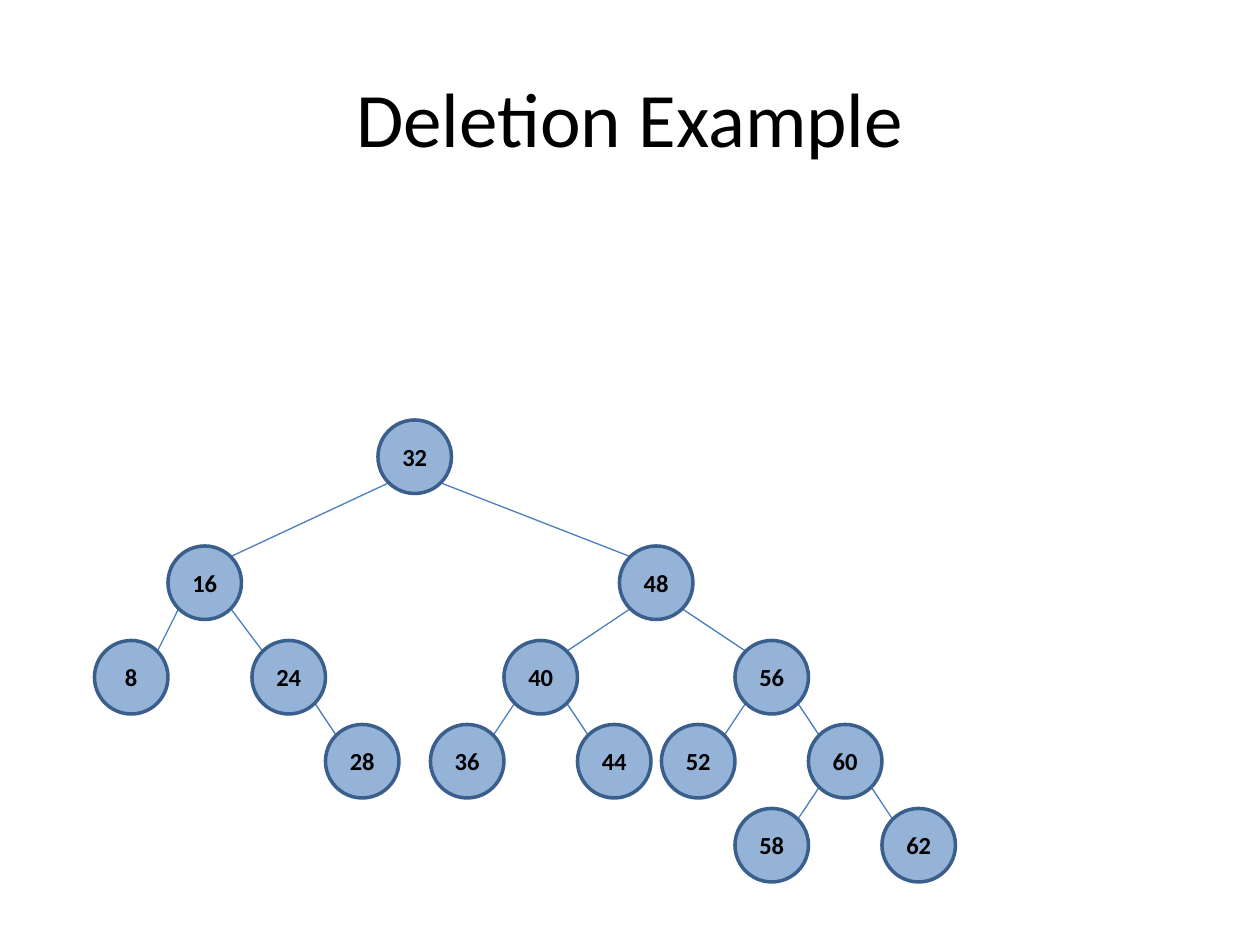
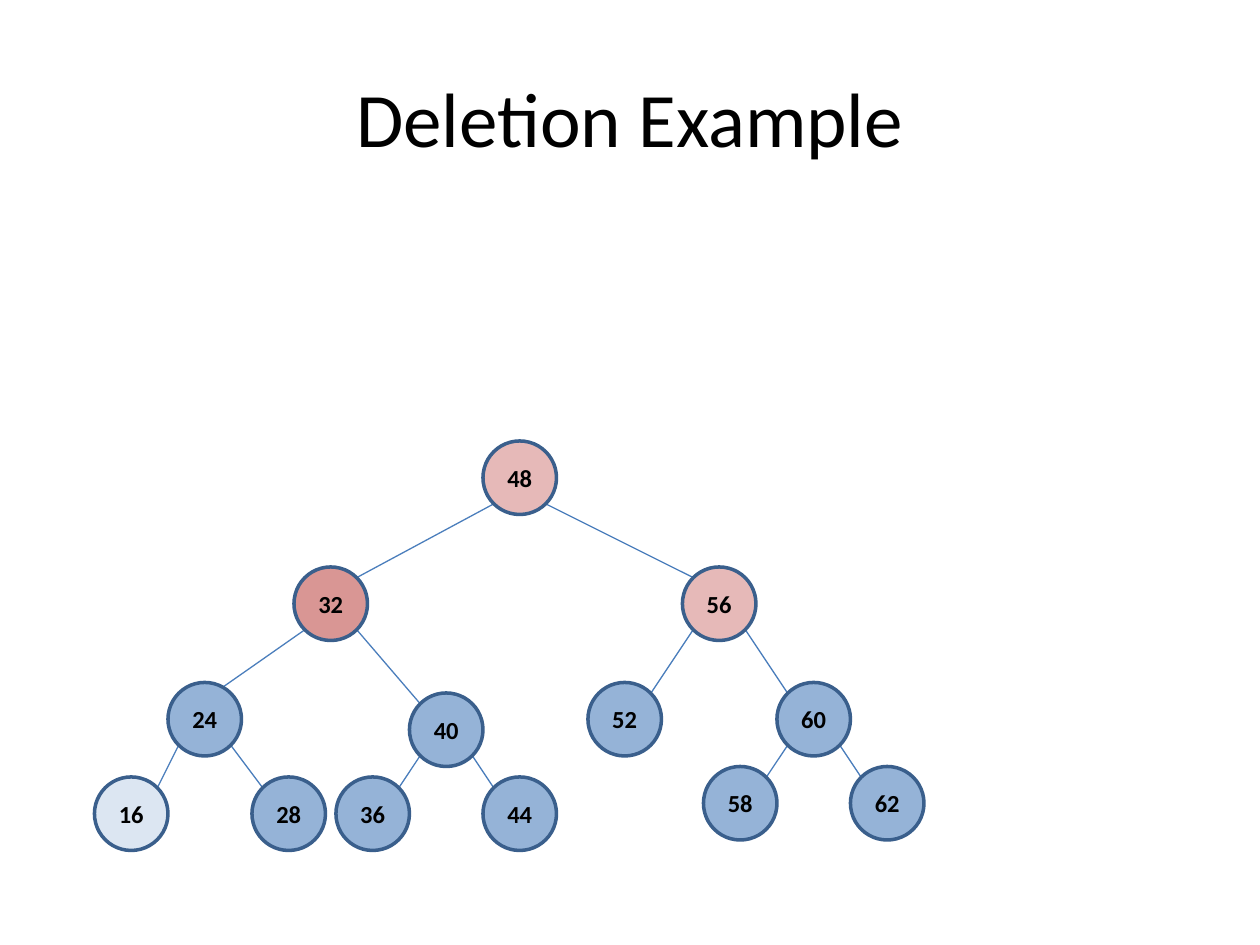
from pptx import Presentation
from pptx import util as u
from pptx.dml.color import RGBColor
from pptx.enum import shapes, text
from pptx.oxml.ns import qn
from lxml import etree

PX = 9525
FONT = "Calibri"
COLORS = {
    "text": "000000",
    "outline": "3A5F8C",
    "edge": "4B7EBC",
    "blue": "95B3D7",
    "pale": "DCE6F2",
    "rose": "E6B9B8",
    "red": "D99694",
}
NODE = 56
INSET = 8

# value: (left, top, parent, fill)
before = {
    32: (288, 320, None, "blue"),
    16: (128, 416, 32, "blue"),
    48: (472, 416, 32, "blue"),
    8: (72, 488, 16, "blue"),
    24: (192, 488, 16, "blue"),
    40: (384, 488, 48, "blue"),
    56: (560, 488, 48, "blue"),
    28: (248, 552, 24, "blue"),
    36: (328, 552, 40, "blue"),
    44: (440, 552, 40, "blue"),
    52: (504, 552, 56, "blue"),
    60: (616, 552, 56, "blue"),
    58: (560, 616, 60, "blue"),
    62: (672, 616, 60, "blue"),
}
after = {
    48: (368, 336, None, "rose"),
    32: (224, 432, 48, "red"),
    56: (520, 432, 48, "rose"),
    24: (128, 520, 32, "blue"),
    40: (312, 528, 32, "blue"),
    52: (448, 520, 56, "blue"),
    60: (592, 520, 56, "blue"),
    16: (72, 592, 24, "pale"),
    28: (192, 592, 24, "blue"),
    36: (256, 592, 40, "blue"),
    44: (368, 592, 40, "blue"),
    58: (536, 584, 60, "blue"),
    62: (648, 584, 60, "blue"),
}
slides = [
    ("Deletion Example", before, {}),
    ("Deletion Example", after, {24: (152, 536)}),
]


def rgb(name):
    return RGBColor.from_string(COLORS[name])


def write(sp, words, size, bold=False):
    tf = sp.text_frame
    tf.vertical_anchor = text.MSO_ANCHOR.MIDDLE
    p = tf.paragraphs[0]
    p.alignment = text.PP_ALIGN.CENTER
    r = p.add_run()
    r.text = words
    r.font.name = FONT
    r.font.size = u.Pt(size)
    r.font.bold = bold
    r.font.color.rgb = rgb("text")
    return tf


prs = Presentation()
prs.slide_width = 960 * PX
prs.slide_height = 720 * PX

for title, tree, aims in slides:
    s = prs.slides.add_slide(prs.slide_layouts[6])
    sp = s.shapes.add_textbox(48 * PX, 29 * PX, 864 * PX, 120 * PX)
    write(sp, title, 44).word_wrap = True

    for value, (x, y, parent, fill) in tree.items():
        if parent is None:
            continue
        px, py = tree[parent][:2]
        near, far = INSET, NODE - INSET
        start_dx, end_dx = (near, far) if x < px else (far, near)
        end_x, end_y = aims.get(value, (x + end_dx, y + near))
        edge = s.shapes.add_connector(
            shapes.MSO_CONNECTOR.STRAIGHT,
            (px + start_dx) * PX, (py + far) * PX, end_x * PX, end_y * PX)
        edge.line.color.rgb = rgb("edge")
        edge.line.width = u.Pt(0.75)
        etree.SubElement(edge._element.spPr, qn("a:effectLst"))

    for value, (x, y, parent, fill) in tree.items():
        sp = s.shapes.add_shape(
            shapes.MSO_SHAPE.OVAL, x * PX, y * PX, NODE * PX, NODE * PX)
        sp.shadow.inherit = False
        sp.fill.solid()
        sp.fill.fore_color.rgb = rgb(fill)
        sp.line.color.rgb = rgb("outline")
        sp.line.width = u.Pt(2)
        write(sp, str(value), 14, True).word_wrap = False

prs.save("out.pptx")
